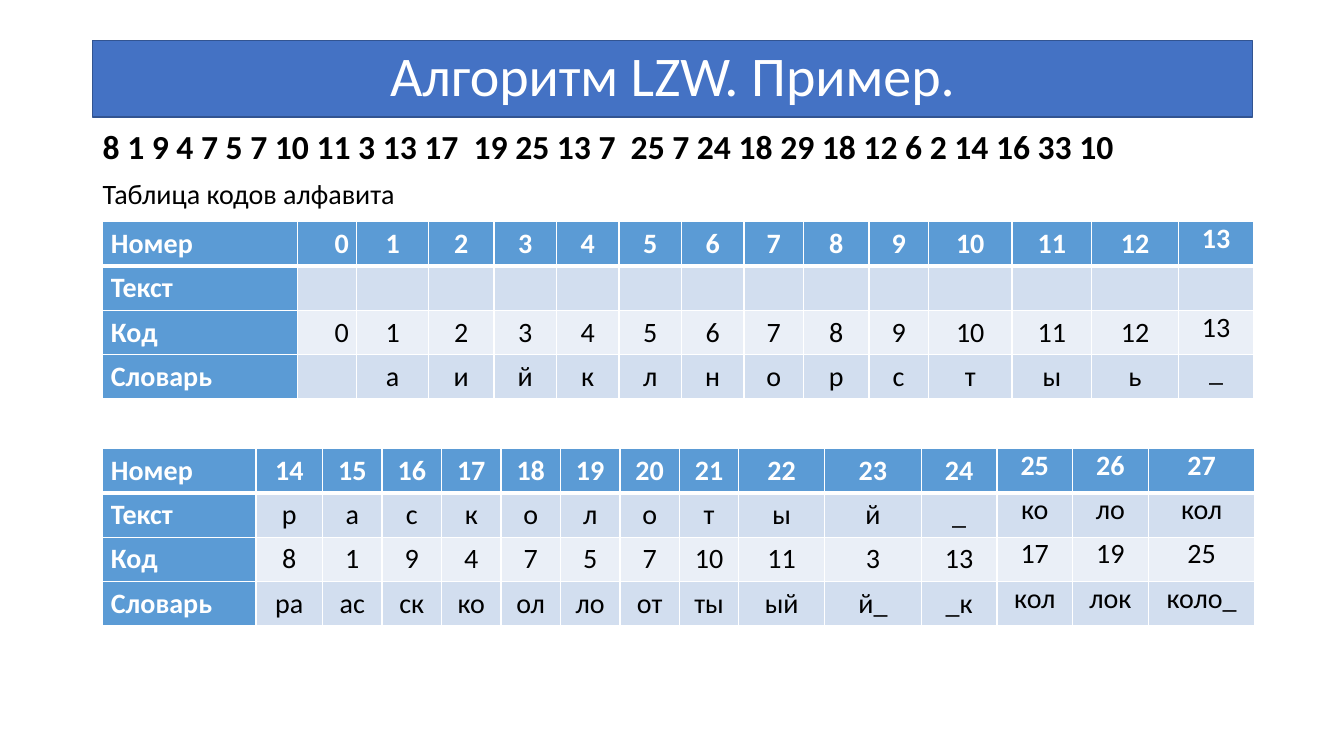
from lxml import etree
from pptx import Presentation
from pptx import util as u
from pptx.dml.color import RGBColor
from pptx.enum import text
from pptx.oxml.ns import qn

COLORS = {
    "title": "4472C4", "outline": "325491", "head": "5B9BD5",
    "odd": "D2DEEF", "even": "EAEFF7", "white": "FFFFFF", "black": "000000",
}
LEFT, CENTER, RIGHT = text.PP_ALIGN.LEFT, text.PP_ALIGN.CENTER, text.PP_ALIGN.RIGHT


class Deck:
    font = "Calibri"
    row_height = 0.44

    def __init__(self, prs):
        self.slide = prs.slides.add_slide(prs.slide_layouts[5])

    def color(self, name):
        return RGBColor.from_string(COLORS[name])

    def format(self, p, size, color, bold=False, align=LEFT):
        p.alignment = align
        p.font.name = self.font
        p.font.size = u.Pt(size)
        p.font.bold = bold
        p.font.color.rgb = self.color(color)

    def title(self, words, x, y, w, h):
        sp = self.slide.shapes.title
        sp.left, sp.top, sp.width, sp.height = map(u.Inches, (x, y, w, h))
        sp.fill.solid()
        sp.fill.fore_color.rgb = self.color("title")
        sp.line.color.rgb = self.color("outline")
        sp.line.width = u.Pt(1)
        tf = sp.text_frame
        tf.text = words
        tf.vertical_anchor = text.MSO_ANCHOR.MIDDLE
        p = tf.paragraphs[0]
        self.format(p, 40, "white", align=CENTER)
        p.line_spacing = 0.9

    def body(self, lines, x, y, w, h):
        sp = self.slide.shapes.add_textbox(*map(u.Inches, (x, y, w, h)))
        tf = sp.text_frame
        tf.word_wrap = True
        for i, (words, size, bold) in enumerate(lines):
            p = tf.add_paragraph() if i else tf.paragraphs[0]
            p.text = words
            self.format(p, size, "black", bold)
            p.line_spacing = 0.9
            p.space_before = u.Pt(10)

    def borders(self, cell, top, bottom):
        tc_pr = cell._tc.get_or_add_tcPr()
        for side, width in (("L", 1), ("R", 1), ("T", top), ("B", bottom)):
            ln = etree.SubElement(tc_pr, qn(f"a:ln{side}"), w=str(u.Pt(width)))
            fill = etree.SubElement(ln, qn("a:solidFill"))
            etree.SubElement(fill, qn("a:srgbClr"), val=COLORS["white"])

    def table(self, rows, widths, x, y, tight, right=()):
        size = (sum(widths), self.row_height * len(rows))
        frame = self.slide.shapes.add_table(
            len(rows), len(widths), *map(u.Inches, (x, y, *size)))
        table = frame.table
        for column, width in zip(table.columns, widths):
            column.width = u.Inches(width)
        for r, row in enumerate(rows):
            table.rows[r].height = u.Inches(self.row_height)
            for c, words in enumerate(row):
                cell = table.cell(r, c)
                head = r == 0 or c == 0
                is_tight = c >= len(widths) - tight
                cell.margin_left = cell.margin_right = u.Inches(0 if is_tight else 0.08)
                cell.margin_top = cell.margin_bottom = u.Inches(0 if is_tight else 0.05)
                self.borders(cell, 3 if r == 1 else 1, 3 if r == 0 else 1)
                cell.fill.solid()
                cell.fill.fore_color.rgb = self.color(
                    "head" if head else "odd" if r % 2 else "even")
                cell.text = words
                align = LEFT if c == 0 else RIGHT if c in right else CENTER
                self.format(cell.text_frame.paragraphs[0], 20,
                            "white" if head else "black", head, align)


def main():
    prs = Presentation()
    prs.slide_width, prs.slide_height = u.Inches(13.33), u.Inches(7.5)
    deck = Deck(prs)
    deck.title("Алгоритм LZW. Пример.", 0.92, 0.4, 11.5, 0.76)
    deck.body([
        ("8 1 9 4 7 5 7 10 11 3 13 17  19 25 13 7  25 7 24 18 29 18 12 6 2 14 16 33 10", 24, True),
        ("Таблица кодов алфавита", 20, False),
    ], 0.92, 1.24, 11.5, 5.52)

    codes = [str(n) for n in range(14)]
    alphabet = [
        ["Номер", *codes],
        ["Текст"] + [""] * len(codes),
        ["Код", *codes],
        ["Словарь", "", *"аийклнорстыь_"],
    ]
    alphabet_widths = [1.93, 0.59, 0.71, 0.65, *[0.62] * 4, 0.59, 0.65, 0.59,
                       0.83, 0.79, 0.86, 0.75]
    deck.table(alphabet, alphabet_widths, 1.02, 2.2, tight=1, right=(1,))

    steps = [
        ["Номер", *map(str, range(14, 28))],
        ["Текст", *"р а с к о л о т ы й _ ко ло кол".split()],
        ["Код", *"8 1 9 4 7 5 7 10 11 3 13 17 19 25".split()],
        ["Словарь", *"ра ас ск ко ол ло от ты ый й_ _к кол лок коло_".split()],
    ]
    step_widths = [1.52, 0.66, *[0.59] * 7, 0.85, 0.96, *[0.75] * 3, 1.06]
    deck.table(steps, step_widths, 1.02, 4.45, tight=3)
    prs.save("out.pptx")


if __name__ == "__main__":
    main()
